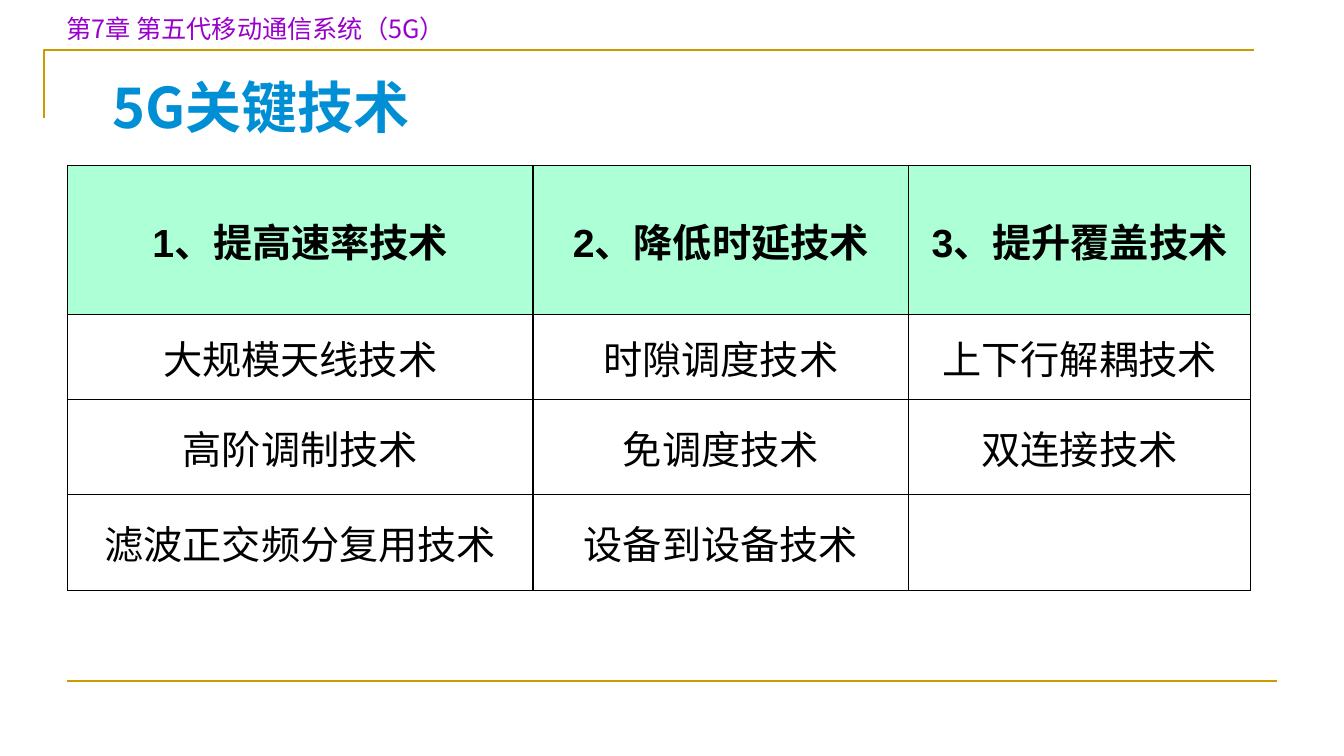
from dataclasses import dataclass

from lxml import etree
from pptx import Presentation
from pptx.dml.color import RGBColor
from pptx.enum import shapes, text
from pptx.oxml import ns
from pptx.util import Cm, Pt


@dataclass(frozen=True)
class Theme:
    gold: str = "CC9900"
    purple: str = "9900CC"
    blue: str = "008FD4"
    mint: str = "ADFFD6"
    black: str = "000000"
    latin: str = "Arial"
    cjk: str = "Noto Sans CJK SC"
    chapter_font: str = "Noto Sans CJK JP"
    chapter_size: int = 18
    title_size: int = 40
    table_size: int = 28
    rule_width: float = 1.5
    border_width: float = 1


T = Theme()
COLUMNS = [11.73, 9.47, 8.61]
ROWS = [3.76, 2.13, 2.41, 2.41]
TECHNIQUES = [
    ["1、提高速率技术", "2、降低时延技术", "3、提升覆盖技术"],
    ["大规模天线技术", "时隙调度技术", "上下行解耦技术"],
    ["高阶调制技术", "免调度技术", "双连接技术"],
    ["滤波正交频分复用技术", "设备到设备技术", ""],
]


def write(tf, content, *, size, color, latin, ea, bold=False,
          align=text.PP_ALIGN.LEFT):
    p = tf.paragraphs[0]
    p.alignment = align
    r = p.add_run()
    r.text = content
    r.font.size, r.font.bold, r.font.name = Pt(size), bold, latin
    r.font.color.rgb = RGBColor.from_string(color)
    etree.SubElement(r.font._element, ns.qn("a:ea"), typeface=ea)


def style_rule(line):
    line.color.rgb = RGBColor.from_string(T.gold)
    line.width = Pt(T.rule_width)


def add_frame(s, x, y, w, h):
    """Corner rule at the top left and a rule at the foot."""
    corner = s.shapes.build_freeform(Cm(x), Cm(y + 1.7))
    corner.add_line_segments([(Cm(x), Cm(y)), (Cm(x + w), Cm(y))], close=False)
    sp = corner.convert_to_shape()
    sp.shadow.inherit = False
    sp.fill.background()
    style_rule(sp.line)

    left, foot = x + 0.58, y + h
    rule = s.shapes.add_connector(shapes.MSO_CONNECTOR.STRAIGHT, Cm(left),
                                  Cm(foot), Cm(left + w), Cm(foot))
    etree.SubElement(rule._element.spPr, ns.qn("a:effectLst"))
    style_rule(rule.line)


def add_chapter(s, x, y, w, h):
    sp = s.shapes.add_textbox(Cm(x), Cm(y), Cm(w), Cm(h))
    tf = sp.text_frame
    tf.word_wrap = True
    tf.vertical_anchor = text.MSO_ANCHOR.MIDDLE
    write(tf, "第7章 第五代移动通信系统（5G）", size=T.chapter_size,
          color=T.purple, latin=T.chapter_font, ea=T.chapter_font)


def add_title(s, x, y, w, h):
    sp = s.shapes.title
    sp.left, sp.top, sp.width, sp.height = Cm(x), Cm(y), Cm(w), Cm(h)
    tf = sp.text_frame
    tf.word_wrap = True
    tf.auto_size = text.MSO_AUTO_SIZE.NONE
    tf.vertical_anchor = text.MSO_ANCHOR.MIDDLE
    tf.margin_left = tf.margin_right = Cm(0.33)
    tf.margin_top = tf.margin_bottom = Cm(0.18)
    write(tf, "5G关键技术", size=T.title_size, color=T.blue,
          latin=T.cjk, ea=T.cjk, bold=True)


def set_borders(cell):
    tc_pr = cell._tc.get_or_add_tcPr()
    for i, side in enumerate(("lnL", "lnR", "lnT", "lnB")):
        ln = etree.Element(ns.qn(f"a:{side}"), w=str(Pt(T.border_width)))
        fill = etree.SubElement(ln, ns.qn("a:solidFill"))
        etree.SubElement(fill, ns.qn("a:srgbClr"), val=T.black)
        tc_pr.insert(i, ln)


def add_techniques(s, x, y, w, h):
    table = s.shapes.add_table(len(ROWS), len(COLUMNS), Cm(x), Cm(y),
                               Cm(w), Cm(h)).table
    table.first_row = table.horz_banding = False
    for column, width in zip(table.columns, COLUMNS):
        column.width = Cm(width)
    for i, (row, height, labels) in enumerate(zip(table.rows, ROWS, TECHNIQUES)):
        row.height = Cm(height)
        header = i == 0
        for cell, label in zip(row.cells, labels):
            cell.vertical_anchor = text.MSO_ANCHOR.MIDDLE
            cell.margin_left = cell.margin_right = Cm(0.33)
            cell.margin_top = cell.margin_bottom = Cm(0.18)
            if header:
                cell.fill.solid()
                cell.fill.fore_color.rgb = RGBColor.from_string(T.mint)
            else:
                cell.fill.background()
            set_borders(cell)
            if label:
                write(cell.text_frame, label, size=T.table_size, color=T.black,
                      latin=T.latin, ea=T.cjk, bold=header,
                      align=text.PP_ALIGN.CENTER)


def main():
    prs = Presentation()
    prs.slide_width, prs.slide_height = Cm(33.87), Cm(19.05)
    s = prs.slides.add_slide(prs.slide_layouts[5])
    add_frame(s, 1.12, 1.27, 30.48, 15.88)
    add_chapter(s, 1.42, 0.2, 14.68, 1.02)
    add_techniques(s, 1.7, 4.17, sum(COLUMNS), sum(ROWS))
    add_title(s, 2.51, 1.07, 20.29, 3.23)
    prs.save("out.pptx")


if __name__ == "__main__":
    main()
